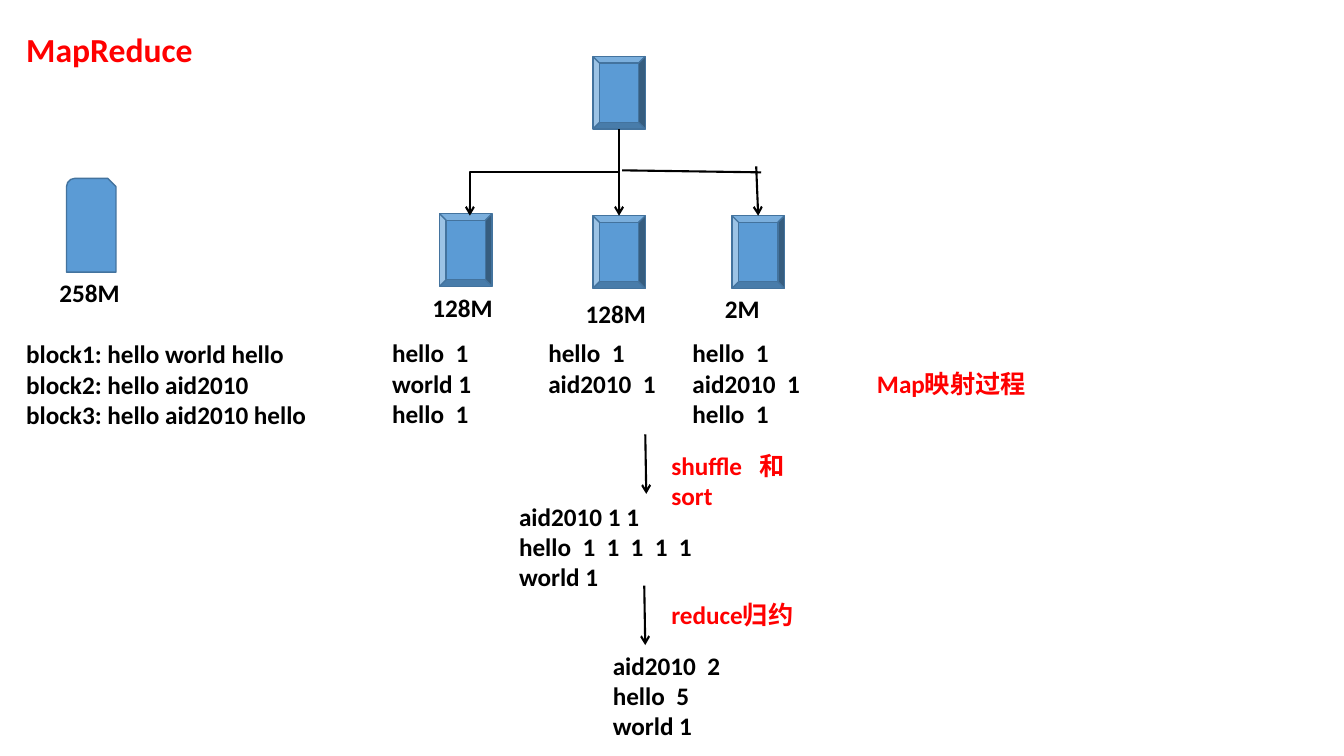
from dataclasses import dataclass

from lxml.etree import SubElement
from pptx import Presentation
from pptx.dml.color import RGBColor
from pptx.enum.shapes import MSO_CONNECTOR as Connector, MSO_SHAPE as Preset
from pptx.enum.text import MSO_ANCHOR as Anchor, MSO_AUTO_SIZE as AutoSize, PP_ALIGN as Align
from pptx.oxml.ns import qn
from pptx.util import Inches, Pt


@dataclass(frozen=True)
class Theme:
    """Colours, type sizes and line widths of the slide."""
    font: str = "Calibri"
    text: RGBColor = RGBColor(0, 0, 0)
    accent: RGBColor = RGBColor(255, 0, 0)
    fill: RGBColor = RGBColor.from_string("5B9BD5")
    outline: RGBColor = RGBColor.from_string("43739E")
    title_size: Pt = Pt(24)
    body_size: Pt = Pt(18)
    border: Pt = Pt(1)
    arrow: Pt = Pt(1.5)


theme = Theme()
presentation = Presentation()
presentation.slide_width, presentation.slide_height = Inches(13.33), Inches(7.5)
column = presentation.slide_width / 13.33
row = presentation.slide_height / 7.5
slide = presentation.slides.add_slide(presentation.slide_layouts[1])


def write_text(text, left, top, width, height=0.4, shape=None, size=theme.body_size,
               color=theme.text, gap=4):
    """Write bold lines in a placeholder or new text box; "|" is a space widened by gap points."""
    shape = shape or slide.shapes.add_textbox(0, 0, 0, 0)
    shape.left, shape.width = int(left * column), int(width * column)
    shape.top, shape.height = int(top * row), int(height * row)
    frame = shape.text_frame
    frame.word_wrap, frame.auto_size = True, AutoSize.NONE
    frame.vertical_anchor = Anchor.TOP
    for index, text_line in enumerate(text.split("\n")):
        paragraph = frame.add_paragraph() if index else frame.paragraphs[0]
        paragraph.alignment = Align.LEFT
        paragraph.line_spacing = 1.0
        paragraph.space_before = paragraph.space_after = Pt(0)
        properties = paragraph._p.get_or_add_pPr()
        properties.set("marL", "0")
        properties.set("indent", "0")
        SubElement(properties, qn("a:buNone"))
        for piece in text_line.replace("|", "\n \n").split("\n"):
            run = paragraph.add_run()
            run.text = piece
            run.font.name, run.font.size, run.font.bold = theme.font, size, True
            run.font.color.rgb = color
            if piece == " ":
                run._r.get_or_add_rPr().set("spc", str(gap * 100))


def draw_line(start, end, kind=Connector.STRAIGHT, head=True):
    """Draw a black connector between two grid points, with or without an arrowhead."""
    line = slide.shapes.add_connector(kind, int(start[0] * column), int(start[1] * row),
                                      int(end[0] * column), int(end[1] * row))
    line.line.color.rgb, line.line.width = theme.text, theme.arrow
    if head:
        SubElement(line.line._get_or_add_ln(), qn("a:tailEnd"), type="arrow")
    SubElement(line._element.spPr, qn("a:effectLst"))
    return line


# Title and input blocks
write_text("MapReduce", 0.16, 0.24, 1.95, 0.5, shape=slide.shapes.title,
           size=theme.title_size, color=theme.accent)
write_text("block1: hello world hello\nblock2: hello aid2010\nblock3: hello aid2010 hello",
           0.16, 3.31, 3.1, 1.01, shape=slide.placeholders[1])

# Source file, master node and three data nodes
node_size = (0.52, 0.72)
nodes = [(Preset.SNIP_ROUND_RECTANGLE, 0.66, 1.77, 0.49, 0.93),
         (Preset.BEVEL, 5.88, 0.56, *node_size),
         (Preset.BEVEL, 4.36, 2.12, *node_size),
         (Preset.BEVEL, 5.88, 2.14, *node_size),
         (Preset.BEVEL, 7.26, 2.14, *node_size)]
for preset, left, top, width, height in nodes:
    node = slide.shapes.add_shape(preset, int(left * column), int(top * row),
                                  int(width * column), int(height * row))
    node.shadow.inherit = False
    node.fill.solid()
    node.fill.fore_color.rgb = theme.fill
    node.line.color.rgb, node.line.width = theme.outline, theme.border

for size_label, left, top in [("258M", 0.49, 2.7), ("128M", 4.19, 2.85),
                              ("128M", 5.71, 2.91), ("2M", 7.09, 2.86)]:
    write_text(size_label, left, top, 0.85)

# Branches from the master to the data nodes; the elbow is turned to leave downwards
elbow = draw_line((4.97, 0.97), (5.83, 2.45), kind=Connector.ELBOW)
elbow._element.spPr.find(qn("a:xfrm")).set("rot", str(90 * 60000))
draw_line((6.14, 1.28), (6.14, 2.14))
draw_line((6.17, 1.69), (7.55, 1.71), head=False)
draw_line((7.5, 1.65), (7.52, 2.14))

# Map output of each node
for pairs, left in [("hello|1\nworld 1\nhello|1", 3.79),
                    ("hello|1\naid2010|1", 5.34),
                    ("hello|1\naid2010|1\nhello|1", 6.77)]:
    write_text(pairs, left, 3.3, 1.4, 1.01)

# Shuffled groups and reduced totals
write_text("aid2010 1 1\nhello|1|1|1|1|1\nworld 1", 5.05, 4.92, 3, 1.01)
write_text("aid2010|2\nhello|5\nworld 1", 5.98, 6.4, 1.66, 1.01)

# Step names and the arrows between steps
write_text("Map映射过程", 8.6, 3.61, 1.9, color=theme.accent)
write_text("shuffle|和 sort", 6.56, 4.42, 1.5, color=theme.accent, gap=8)
write_text("reduce归约", 6.56, 5.9, 1.9, color=theme.accent)
for left, top in [(6.4, 4.31), (6.39, 5.81)]:
    draw_line((left, top), (left + 0.01, top + 0.59))

presentation.save("out.pptx")
